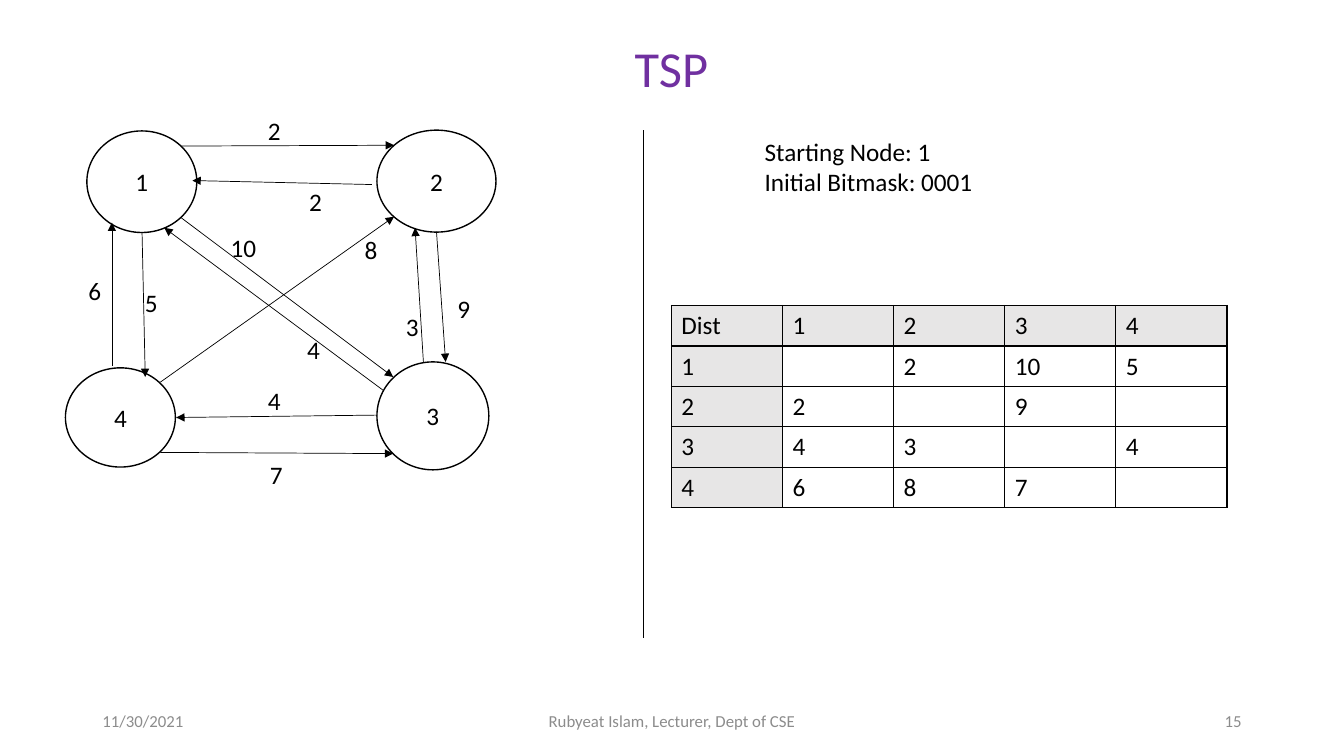
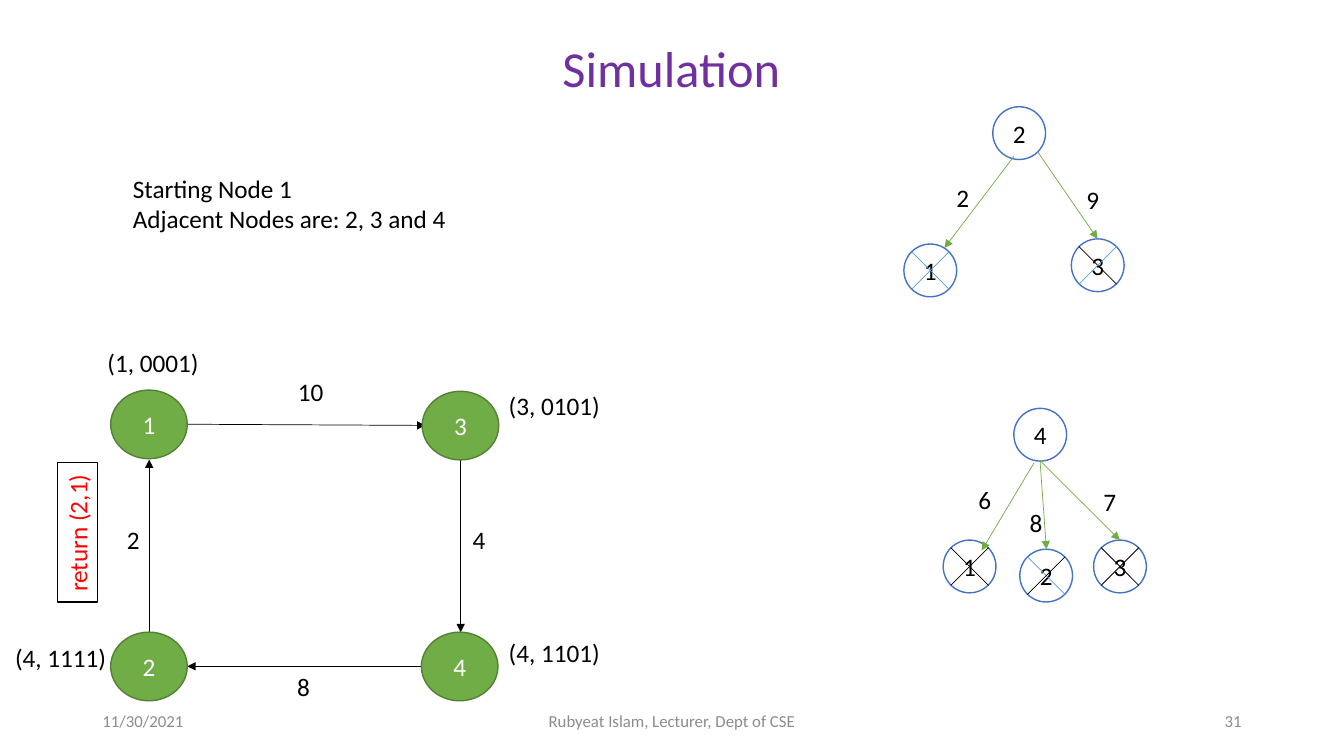
"""Build two slides on the travelling salesman problem: graph with distances, and simulation."""
from dataclasses import dataclass
from typing import Any, Optional

from lxml.etree import SubElement
from pptx import Presentation
from pptx.dml.color import RGBColor as RGB
from pptx.enum.shapes import MSO_CONNECTOR as CONN, MSO_SHAPE as SHAPE
from pptx.enum.text import MSO_ANCHOR as ANCHOR, MSO_AUTO_SIZE as AUTO, PP_ALIGN as ALIGN
from pptx.oxml.ns import qn
from pptx.util import Cm, Pt

C = {
    "black": "000000", "white": "FFFFFF", "purple": "7030A0", "grey": "8C8C8C",
    "header": "E7E6E6", "green": "70AD47", "dark_green": "538035",
    "ring": "4472C4", "cross": "5B9BD5", "red": "FF0000",
}
FONT = "Calibri"
TITLE_BOX = (1.12, 0.81, 31.6, 1.8)
FOOTER_Y, LINE_H = 17.65, 1.02
TREE_D = 1.33
CROSS_INSET = 0.19


@dataclass
class Node:
    text: str
    x: float
    y: float
    w: float = TREE_D
    h: float = TREE_D
    fill: str = "white"
    line: str = "ring"
    color: str = "black"
    falling: Optional[str] = None
    rising: Optional[str] = None


@dataclass
class Edge:
    src: str
    dst: str
    weight: str
    start: tuple[float, float]
    end: tuple[float, float]
    label: tuple[float, float]
    color: str = "black"


@dataclass
class Label:
    text: str
    x: float
    y: float


def tour_node(text: str, x: float, y: float) -> Node:
    return Node(text, x, y, 1.93, 1.73, "green", "dark_green", "white")


GRAPH_NODES = [
    Node("1", 2.19, 3.3, 2.77, 2.56, line="black"),
    Node("2", 9.5, 3.28, 3, 2.57, line="black"),
    Node("3", 9.5, 9.12, 2.82, 2.72, line="black"),
    Node("4", 1.65, 9.27, 2.77, 2.5, line="black"),
]
GRAPH_EDGES = [
    Edge("1", "2", "2", (4.57, 3.68), (9.93, 3.66), (6.5, 2.77)),
    Edge("1", "3", "10", (4.57, 5.49), (9.91, 9.5), (5.56, 5.74)),
    Edge("1", "4", "5", (3.58, 5.87), (3.66, 9.5), (3.4, 7.11)),
    Edge("2", "1", "2", (9.37, 4.65), (4.85, 4.55), (7.54, 4.57)),
    Edge("2", "3", "9", (11, 5.84), (11.23, 9.12), (11.28, 7.26)),
    Edge("3", "1", "4", (9.65, 9.83), (4.14, 5.74), (7.49, 8.31)),
    Edge("3", "2", "3", (10.67, 9.12), (10.46, 5.74), (9.98, 7.72)),
    Edge("3", "4", "4", (9.5, 10.46), (4.44, 10.52), (6.5, 9.58)),
    Edge("4", "1", "6", (2.82, 9.22), (2.82, 5.61), (1.98, 6.81)),
    Edge("4", "2", "8", (4.04, 9.63), (9.93, 5.46), (8.94, 5.79)),
    Edge("4", "3", "7", (4.04, 11.4), (9.91, 11.43), (6.55, 11.46)),
]
TOUR_EDGES = [
    Edge("1", "3", "10", (4.72, 10.69), (10.72, 10.72), (7.26, 9.35)),
    Edge("3", "4", "4", (11.61, 11.58), (11.61, 15.93), (11.66, 13.08)),
    Edge("4", "2", "8", (10.62, 16.79), (4.72, 16.79), (7.24, 16.79)),
    Edge("2", "1", "2", (3.76, 15.93), (3.76, 11.58), (2.95, 13.08)),
]
TOUR_NODES = [
    tour_node("1", 2.79, 9.83), tour_node("3", 10.64, 9.86),
    tour_node("4", 10.62, 15.93), tour_node("2", 2.79, 15.93),
]
STATES = [
    Label("(1, 0001)", 2.46, 8.64), Label("(3, 0101)", 12.57, 9.7),
    Label("(4, 1101)", 12.57, 15.93), Label("(4, 1111)", 0.13, 16.05),
]
TREE_NODES = [
    Node("2", 25.02, 2.69),
    Node("1", 22.78, 6.15, falling="cross", rising="cross"),
    Node("3", 27, 6.02, falling="black", rising="cross"),
    Node("4", 25.55, 10.29),
    Node("1", 23.77, 13.61, falling="black", rising="black"),
    Node("2", 25.7, 13.84, falling="cross", rising="black"),
    Node("3", 27.56, 13.61, falling="black", rising="black"),
]
TREE_EDGES = [
    Edge("2", "1", "2", (25.55, 3.94), (23.8, 6.25), (23.85, 4.47), "green"),
    Edge("2", "3", "9", (26.14, 3.81), (27.66, 6.02), (27.13, 4.52), "green"),
    Edge("4", "1", "6", (26.06, 11.66), (24.74, 13.87), (24.41, 12.07), "green"),
    Edge("4", "2", "8", (26.21, 11.61), (26.37, 13.84), (25.7, 12.67), "green"),
    Edge("4", "3", "7", (26.21, 11.61), (28.22, 13.61), (27.56, 12.12), "green"),
]


def rgb(name: str) -> RGB:
    return RGB.from_string(C[name])


def apply(obj: Any, fmt: dict[str, Any]) -> None:
    for name, value in fmt.items():
        setattr(obj, name, value)


def write(tf: Any, lines: list[str], color: str = "black", size: int = 18,
          align: Any = ALIGN.LEFT) -> None:
    for i, line in enumerate(lines):
        p = tf.paragraphs[0] if i == 0 else tf.add_paragraph()
        p.alignment = align
        r = p.add_run()
        r.text = line
        apply(r.font, {"name": FONT, "size": Pt(size), "bold": False})
        r.font.color.rgb = rgb(color)


def outline(sp: Any, fill: str, line: str) -> None:
    sp.fill.solid()
    sp.fill.fore_color.rgb = rgb(fill)
    sp.line.color.rgb = rgb(line)
    sp.line.width = Pt(1)


def text_box(s: Any, x: float, y: float, w: float, h: float, lines: list[str],
             wrap: bool = False, anchor: Any = ANCHOR.TOP, **style: Any) -> Any:
    sp = s.shapes.add_textbox(Cm(x), Cm(y), Cm(w), Cm(h))
    apply(sp.text_frame, {"word_wrap": wrap, "vertical_anchor": anchor})
    write(sp.text_frame, lines, **style)
    return sp


def draw_line(s: Any, start: tuple[float, float], end: tuple[float, float],
              color: str = "black", arrow: bool = False) -> None:
    cx = s.shapes.add_connector(CONN.STRAIGHT, *(Cm(v) for v in (*start, *end)))
    cx.line.color.rgb = rgb(color)
    cx.line.width = Pt(0.5)
    if arrow:
        SubElement(cx.line._get_or_add_ln(), qn("a:tailEnd"), type="triangle")
    SubElement(cx._element.spPr, qn("a:effectLst"))


def draw_nodes(s: Any, nodes: list[Node]) -> None:
    for n in nodes:
        sp = s.shapes.add_shape(SHAPE.OVAL, Cm(n.x), Cm(n.y), Cm(n.w), Cm(n.h))
        sp.shadow.inherit = False
        outline(sp, n.fill, n.line)
        tf = sp.text_frame
        apply(tf, {"word_wrap": False, "vertical_anchor": ANCHOR.MIDDLE, "margin_left": 0,
                   "margin_right": 0, "margin_top": 0, "margin_bottom": 0})
        write(tf, [n.text], n.color, align=ALIGN.CENTER)
        left, top = n.x + CROSS_INSET, n.y + CROSS_INSET
        right, bottom = n.x + n.w - CROSS_INSET, n.y + n.h - CROSS_INSET
        if n.falling:
            draw_line(s, (left, top), (right, bottom), n.falling)
        if n.rising:
            draw_line(s, (right, top), (left, bottom), n.rising)


def draw_edges(s: Any, edges: list[Edge]) -> None:
    for e in edges:
        draw_line(s, e.start, e.end, e.color, arrow=True)
        text_box(s, *e.label, 0.51 + 0.33 * len(e.weight), LINE_H, [e.weight])


def cell_format(cell: Any, text: str, fill: str) -> None:
    tc_pr = cell._tc.get_or_add_tcPr()
    for side in ("lnL", "lnR", "lnT", "lnB"):
        ln = SubElement(tc_pr, qn(f"a:{side}"), w=str(Pt(1)))
        SubElement(SubElement(ln, qn("a:solidFill")), qn("a:srgbClr"), val=C["black"])
    cell.fill.solid()
    cell.fill.fore_color.rgb = rgb(fill)
    if text:
        write(cell.text_frame, [text])


def distance_table(s: Any, nodes: list[Node], edges: list[Edge]) -> None:
    dist = {(e.src, e.dst): e.weight for e in edges}
    names = [n.text for n in nodes]
    rows = [["Dist", *names]] + [[a, *(dist.get((a, b), "") for b in names)] for a in names]
    n = len(rows)
    tbl = s.shapes.add_table(n, n, Cm(16.92), Cm(7.7), Cm(2.8 * n), Cm(LINE_H * n)).table
    apply(tbl, {"first_row": False, "horz_banding": False})
    for i, row in enumerate(rows):
        for j, text in enumerate(row):
            cell_format(tbl.cell(i, j), text, "white" if i and j else "header")


def new_slide(prs: Any, title: str, number: str) -> Any:
    s = prs.slides.add_slide(prs.slide_layouts[5])
    sp = s.shapes.title
    apply(sp, dict(zip(("left", "top", "width", "height"), map(Cm, TITLE_BOX))))
    apply(sp.text_frame, {"word_wrap": True, "auto_size": AUTO.NONE,
                          "vertical_anchor": ANCHOR.TOP})
    write(sp.text_frame, [title], "purple", 36, ALIGN.CENTER)
    for x, w, text, align in (
        (2.33, 7.62, "11/30/2021", ALIGN.LEFT),
        (11.22, 11.43, "Rubyeat Islam, Lecturer, Dept of CSE", ALIGN.CENTER),
        (23.92, 7.62, number, ALIGN.RIGHT),
    ):
        text_box(s, x, FOOTER_Y, w, LINE_H, [text], True, ANCHOR.MIDDLE,
                 color="grey", size=12, align=align)
    return s


def graph_slide(prs: Any) -> None:
    s = new_slide(prs, "TSP", "15")
    draw_nodes(s, GRAPH_NODES)
    draw_edges(s, GRAPH_EDGES)
    text_box(s, 19.02, 3.3, 6.6, 1.8, ["Starting Node: 1", "Initial Bitmask: 0001"], True)
    draw_line(s, (16.21, 3.28), (16.21, 16.08))
    distance_table(s, GRAPH_NODES, GRAPH_EDGES)


def simulation_slide(prs: Any) -> None:
    s = new_slide(prs, "Simulation", "31")
    text_box(s, 3.1, 4.24, 8.48, 1.8, ["Starting Node 1", "Adjacent Nodes are: 2, 3 and 4"])
    draw_edges(s, TOUR_EDGES)
    draw_nodes(s, TOUR_NODES)
    for state in STATES:
        text_box(s, state.x, state.y, 2.84, LINE_H, [state.text])
    draw_nodes(s, TREE_NODES)
    draw_edges(s, TREE_EDGES)
    sp = text_box(s, 0.2, 12.9, 3.51, LINE_H, ["return (2,1)"], color="red")
    sp.rotation = 270
    outline(sp, "white", "black")


def main() -> None:
    prs = Presentation()
    apply(prs, {"slide_width": Cm(33.87), "slide_height": Cm(19.05)})
    graph_slide(prs)
    simulation_slide(prs)
    prs.save("out.pptx")


if __name__ == "__main__":
    main()
